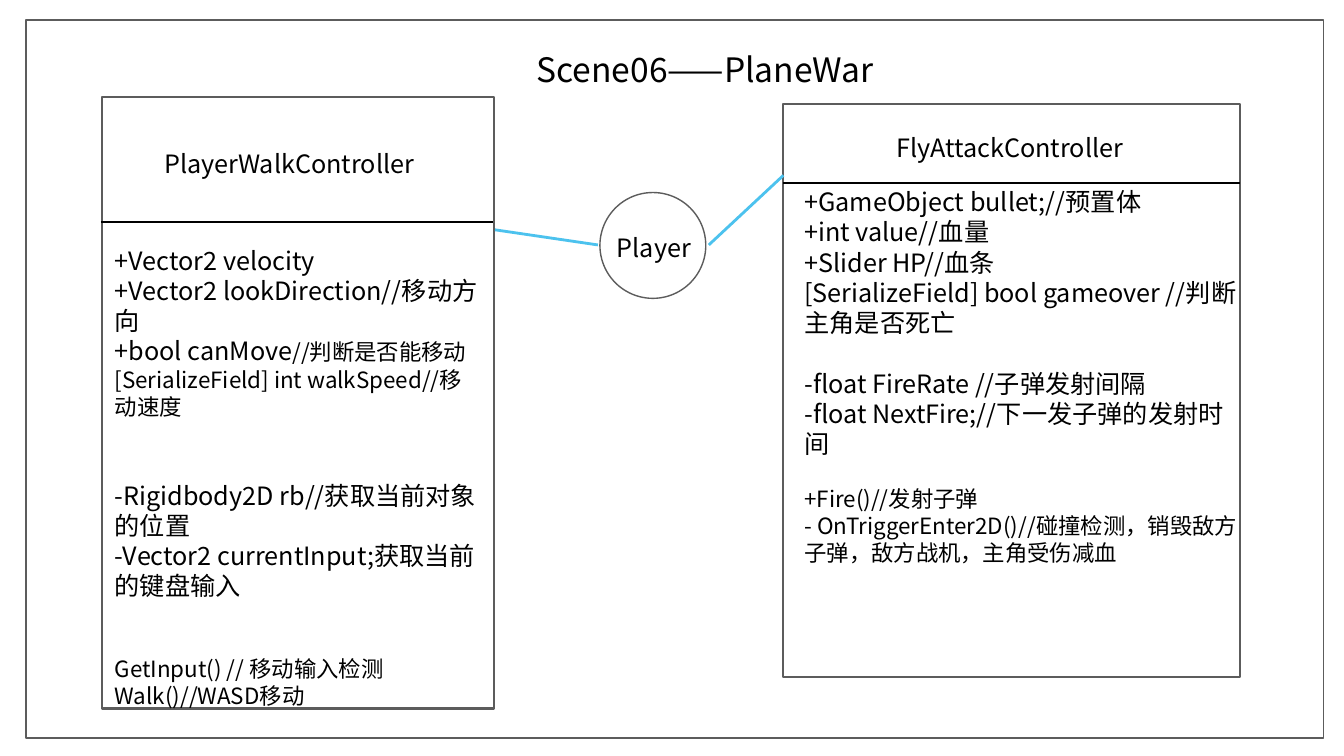
from lxml import etree
from pptx import Presentation
from pptx.dml.color import RGBColor
from pptx.enum.shapes import MSO_CONNECTOR, MSO_SHAPE
from pptx.enum.text import MSO_ANCHOR, PP_ALIGN
from pptx.oxml.ns import qn
from pptx.util import Pt

RECT, OVAL, STRAIGHT = MSO_SHAPE.RECTANGLE, MSO_SHAPE.OVAL, MSO_CONNECTOR.STRAIGHT
TOP, MIDDLE = MSO_ANCHOR.TOP, MSO_ANCHOR.MIDDLE
LEFT, CENTER = PP_ALIGN.LEFT, PP_ALIGN.CENTER

PX = 9144
FONT = "Noto Sans CJK SC"
BLACK, GRAY, BLUE = "000000", "5C5C5C", "4CC2EE"

TITLE = "Scene06——PlaneWar"
FRAME = (26, 20, 1287, 712)
CIRCLE = (595, 191, 105, 105)
LINKS = [(491, 228, 593, 243), (703, 243, 777, 174)]

# each member line: space before in points, then (text, size) runs
CLASSES = [
    {
        "name": "FlyAttackController",
        "box": (777, 103, 453, 569),
        "divider": (777, 182, 1230, 182),
        "name_box": (821, 108, 361, 68),
        "member_box": (788, 180, 449, 477),
        "members": [
            (0, [("+GameObject bullet;//预置体", 18)]),
            (0, [("+int value//血量", 18)]),
            (0, [("+Slider HP//血条", 18)]),
            (0, [("[SerializeField] bool gameover //判断主角是否死亡", 18)]),
            (21.6, [("-float FireRate //子弹发射间隔", 18)]),
            (0, [("-float NextFire;//下一发子弹的发射时间", 18)]),
            (19.2, [("+Fire()//发射子弹", 16)]),
            (0, [("- OnTriggerEnter2D()//碰撞检测，销毁敌方子弹，敌方战机，主角受伤减血", 16)]),
        ],
    },
    {
        "name": "PlayerWalkController",
        "box": (101, 96, 389, 607),
        "divider": (100, 220, 489, 220),
        "name_box": (132, 110, 310, 96),
        "member_box": (104, 238, 386, 461),
        "members": [
            (0, [("+Vector2 velocity", 18)]),
            (0, [("+Vector2 lookDirection//移动方向", 18)]),
            (0, [("+bool canMove", 18), ("//判断是否能移动", 16)]),
            (0, [("[SerializeField] int walkSpeed//移动速度", 16)]),
            (43.2, [("-Rigidbody2D rb//获取当前对象的位置", 18)]),
            (0, [("-Vector2 currentInput;获取当前的键盘输入", 18)]),
            (38.4, [("GetInput() // 移动输入检测", 16)]),
            (0, [("Walk()//WASD移动", 16)]),
        ],
    },
]


def emu(lengths):
    return [n * PX for n in lengths]


def color(value):
    return RGBColor.from_string(value)


def outline(kind, at, width):
    s = slide.shapes.add_shape(kind, *emu(at))
    s.shadow.inherit = False
    s.fill.background()
    s.line.color.rgb = color(GRAY)
    s.line.width = Pt(width)


def line(ends, stroke, width):
    s = slide.shapes.add_connector(STRAIGHT, *emu(ends))
    s.line.color.rgb = color(stroke)
    s.line.width = Pt(width)
    etree.SubElement(s._element.spPr, qn("a:effectLst"))


def text(at, lines, spacing=None, align=LEFT, anchor=TOP):
    tf = slide.shapes.add_textbox(*emu(at)).text_frame
    tf.word_wrap = True
    tf.vertical_anchor = anchor
    for i, (before, runs) in enumerate(lines):
        p = tf.add_paragraph() if i else tf.paragraphs[0]
        p.alignment = align
        if spacing:
            p.line_spacing = spacing
        if before:
            p.space_before = Pt(before)
        for words, size in runs:
            r = p.add_run()
            r.text = words
            r.font.size = Pt(size)
            r.font.color.rgb = color(BLACK)
            r.font.name = FONT
            etree.SubElement(r.font._element, qn("a:ea")).set("typeface", FONT)


prs = Presentation()
prs.slide_width, prs.slide_height = emu((1333, 750))
slide = prs.slides.add_slide(prs.slide_layouts[6])

outline(RECT, FRAME, 1)
text((522, 32, 392, 49), [(0, [(TITLE, 24)])], 1.3)
outline(OVAL, CIRCLE, 1)
text((602, 217, 104, 53), [(0, [("Player", 18)])], 1.3)

for c in CLASSES:
    outline(RECT, c["box"], 1.5)
    line(c["divider"], BLACK, 1.5)
    text(c["name_box"], [(0, [(c["name"], 18)])], 1.3, CENTER, MIDDLE)
    text(c["member_box"], c["members"])

for link in LINKS:
    line(link, BLUE, 2)

prs.save("out.pptx")
